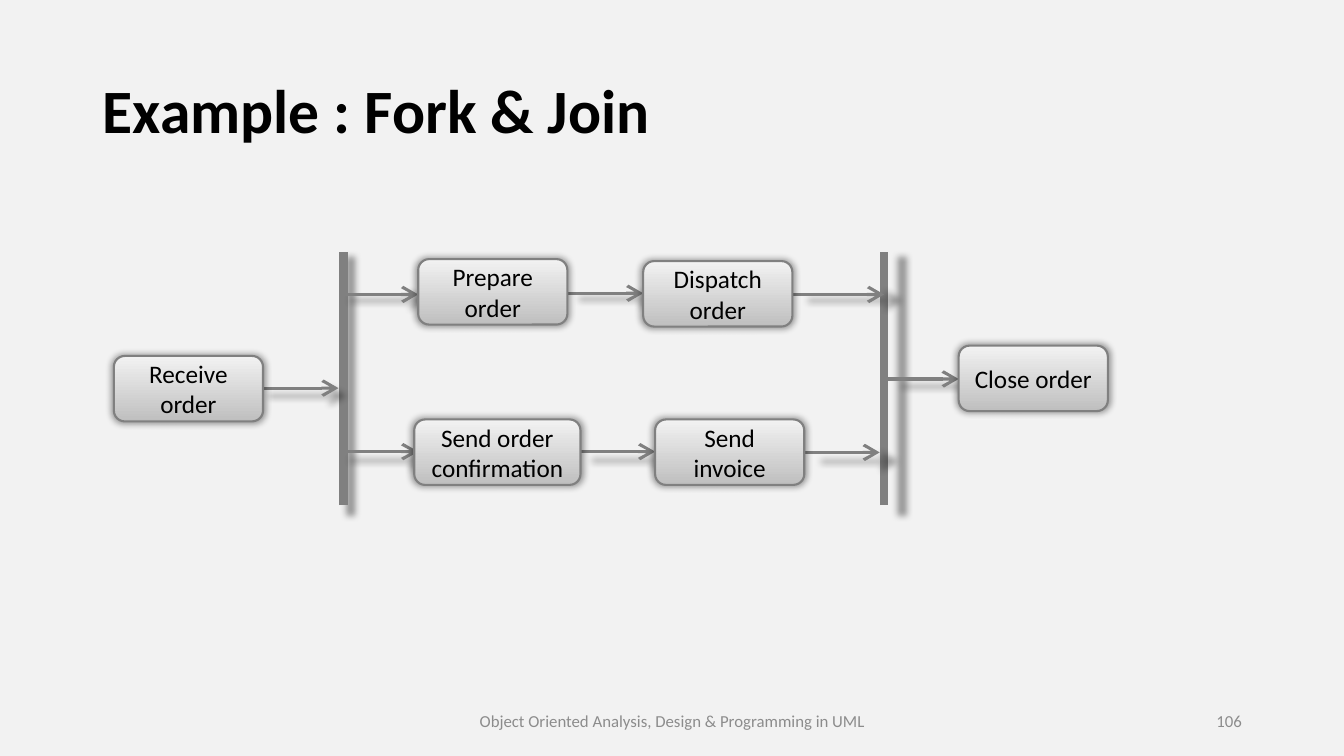
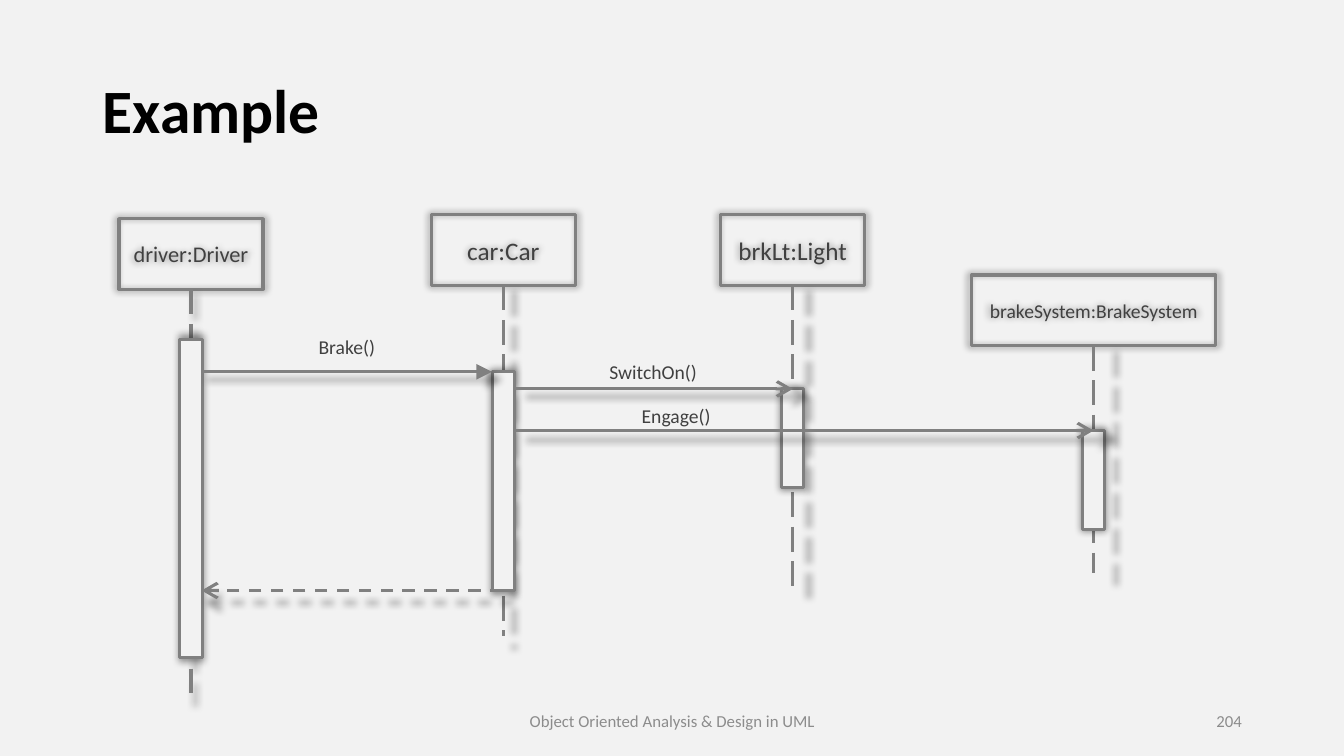
from dataclasses import dataclass

from pptx import Presentation
from pptx.dml.color import RGBColor as RGB
from pptx.enum.dml import MSO_LINE as DASH
from pptx.enum.shapes import MSO_CONNECTOR as LINK, MSO_SHAPE as SHAPE
from pptx.enum.text import MSO_ANCHOR as ANCHOR, MSO_AUTO_SIZE as FIT, PP_ALIGN as ALIGN
from pptx.oxml import parse_xml
from pptx.oxml.ns import nsdecls, qn
from pptx.util import Cm, Pt


@dataclass(frozen=True)
class Theme:
    font: str = "Calibri"
    paper: RGB = RGB(0xF2, 0xF2, 0xF2)
    silver: RGB = RGB(0xBF, 0xBF, 0xBF)
    stroke: RGB = RGB(0x80, 0x80, 0x80)
    muted: RGB = RGB(0x8C, 0x8C, 0x8C)
    ink: RGB = RGB(0x40, 0x40, 0x40)
    black: RGB = RGB(0, 0, 0)
    title: float = 44
    action: float = 18
    participant: float = 18
    participant_medium: float = 16
    participant_small: float = 14
    message: float = 14
    footer: float = 12
    bar: float = 6
    line: float = 2.25
    border: float = 1.5


theme = Theme()


def finish(item, width, dash=None, tip=None):
    properties = item.element.spPr
    item.line.color.rgb = theme.stroke
    item.line.width = Pt(width)
    if dash:
        item.line.dash_style = dash
    if tip:
        properties.find(qn("a:ln")).append(
            parse_xml(f'<a:tailEnd {nsdecls("a")} type="{tip}" w="lg" len="lg"/>'))
    properties.append(parse_xml(
        f'<a:effectLst {nsdecls("a")}><a:outerShdw blurRad="63500" sx="102000" sy="102000" '
        'algn="ctr" rotWithShape="0"><a:srgbClr val="000000"><a:alpha val="40000"/>'
        '</a:srgbClr></a:outerShdw></a:effectLst>'))


def write(item, text, size, color, align=ALIGN.CENTER, anchor=ANCHOR.MIDDLE):
    frame = item.text_frame
    frame.word_wrap = True
    frame.vertical_anchor = anchor
    paragraph = frame.paragraphs[0]
    paragraph.text = text
    paragraph.alignment = align
    paragraph.font.name = theme.font
    paragraph.font.size = Pt(size)
    paragraph.font.color.rgb = color
    return paragraph


prs = Presentation()
prs.slide_width, prs.slide_height = Cm(33.87), Cm(19.05)
background = prs.slide_master.background.fill
background.solid()
background.fore_color.rgb = theme.paper

layout = prs.slide_layouts[5]
heading, *unused = layout.placeholders
for placeholder in unused:
    placeholder.element.getparent().remove(placeholder.element)
heading.left, heading.top, heading.width, heading.height = Cm(2.34), Cm(1.02), Cm(29.21), Cm(3.68)
heading.text_frame.auto_size = FIT.NONE

slides = []
for heading_text, course, number in (
    ("Example : Fork & Join", "Object Oriented Analysis, Design & Programming in UML", "106"),
    ("Example", "Object Oriented Analysis & Design in UML", "204"),
):
    slide = prs.slides.add_slide(layout)
    paragraph = write(slide.shapes.title, heading_text, theme.title, theme.black, ALIGN.LEFT)
    paragraph.font.bold = True
    paragraph.line_spacing = 0.9
    for text, left, width, align in (
        (course, 11.23, 11.43, ALIGN.CENTER),
        (number, 23.93, 7.62, ALIGN.RIGHT),
    ):
        footer = slide.shapes.add_textbox(Cm(left), Cm(17.65), Cm(width), Cm(1.02))
        write(footer, text, theme.footer, theme.muted, align)
    slides.append(slide)

fork_slide, sequence_slide = slides

shapes = fork_slide.shapes
for x in (8.66, 22.28):
    bar = shapes.add_connector(LINK.STRAIGHT, Cm(x), Cm(12.73), Cm(x), Cm(6.35))
    finish(bar, theme.bar)

for start, end, y in (
    (6.65, 8.53, 9.78),
    (8.66, 10.54, 7.42),
    (8.66, 10.54, 11.38),
    (14.3, 16.21, 7.39),
    (14.63, 16.51, 11.38),
    (19.96, 22.28, 7.42),
    (20.29, 22.17, 11.4),
    (22.28, 24.16, 9.55),
):
    flow = shapes.add_connector(LINK.STRAIGHT, Cm(start), Cm(y), Cm(end), Cm(y))
    finish(flow, theme.line, tip="arrow")

for text, left, top, width in (
    ("Receive order", 2.87, 8.97, 3.76),
    ("Prepare order", 10.54, 6.53, 3.76),
    ("Dispatch order", 16.21, 6.58, 3.76),
    ("Send order confirmation", 10.44, 10.57, 4.19),
    ("Send invoice", 16.51, 10.57, 3.76),
    ("Close order", 24.16, 8.71, 3.76),
):
    action = shapes.add_shape(SHAPE.ROUNDED_RECTANGLE, Cm(left), Cm(top), Cm(width), Cm(1.65))
    action.fill.gradient()
    action.fill.gradient_angle = 90
    tones = (theme.silver, theme.paper)
    for position, (stop, tone) in enumerate(zip(action.fill.gradient_stops, tones)):
        stop.color.rgb = tone
        stop.position = position
    finish(action, theme.border)
    write(action, text, theme.action, theme.black)

shapes = sequence_slide.shapes
head_height = 1.78
activation_width = 0.56
for name, size, left, top, width, life_end, active_top, active_height in (
    ("driver:Driver", theme.participant_medium, 3, 5.51, 3.63, 17.45, 8.56, 8),
    ("car:Car", theme.participant, 10.87, 5.41, 3.63, 16.03, 9.37, 5.51),
    ("brkLt:Light", theme.participant, 18.16, 5.41, 3.63, 14.88, 9.8, 2.49),
    ("brakeSystem:BrakeSystem", theme.participant_small, 24.49, 6.93, 6.15, 14.45, 10.85, 2.49),
):
    participant = shapes.add_shape(SHAPE.RECTANGLE, Cm(left), Cm(top), Cm(width), Cm(head_height))
    participant.fill.background()
    finish(participant, theme.line)
    write(participant, name, size, theme.ink)

    center = left + width / 2
    lifeline = shapes.add_connector(
        LINK.STRAIGHT, Cm(center), Cm(top + head_height), Cm(center), Cm(life_end))
    finish(lifeline, theme.line, DASH.LONG_DASH)

    activation = shapes.add_shape(
        SHAPE.RECTANGLE, Cm(center - activation_width / 2), Cm(active_top),
        Cm(activation_width), Cm(active_height))
    activation.fill.solid()
    activation.fill.fore_color.rgb = theme.paper
    finish(activation, theme.line)

for start, end, y, dash, tip in (
    (5.11, 12.4, 9.37, None, "triangle"),
    (13, 19.98, 9.8, None, "arrow"),
    (13, 27.56, 10.85, None, "arrow"),
    (12.67, 5.08, 14.88, DASH.DASH, "arrow"),
):
    message = shapes.add_connector(LINK.STRAIGHT, Cm(start), Cm(y), Cm(end), Cm(y))
    finish(message, theme.line, dash, tip)

for text, left, top in (
    ("Brake()", 5.82, 8.31),
    ("SwitchOn()", 13.54, 8.94),
    ("Engage()", 14.12, 10.06),
):
    label = shapes.add_textbox(Cm(left), Cm(top), Cm(5.84), Cm(0.86))
    write(label, text, theme.message, theme.ink, anchor=ANCHOR.TOP)

prs.save("out.pptx")
